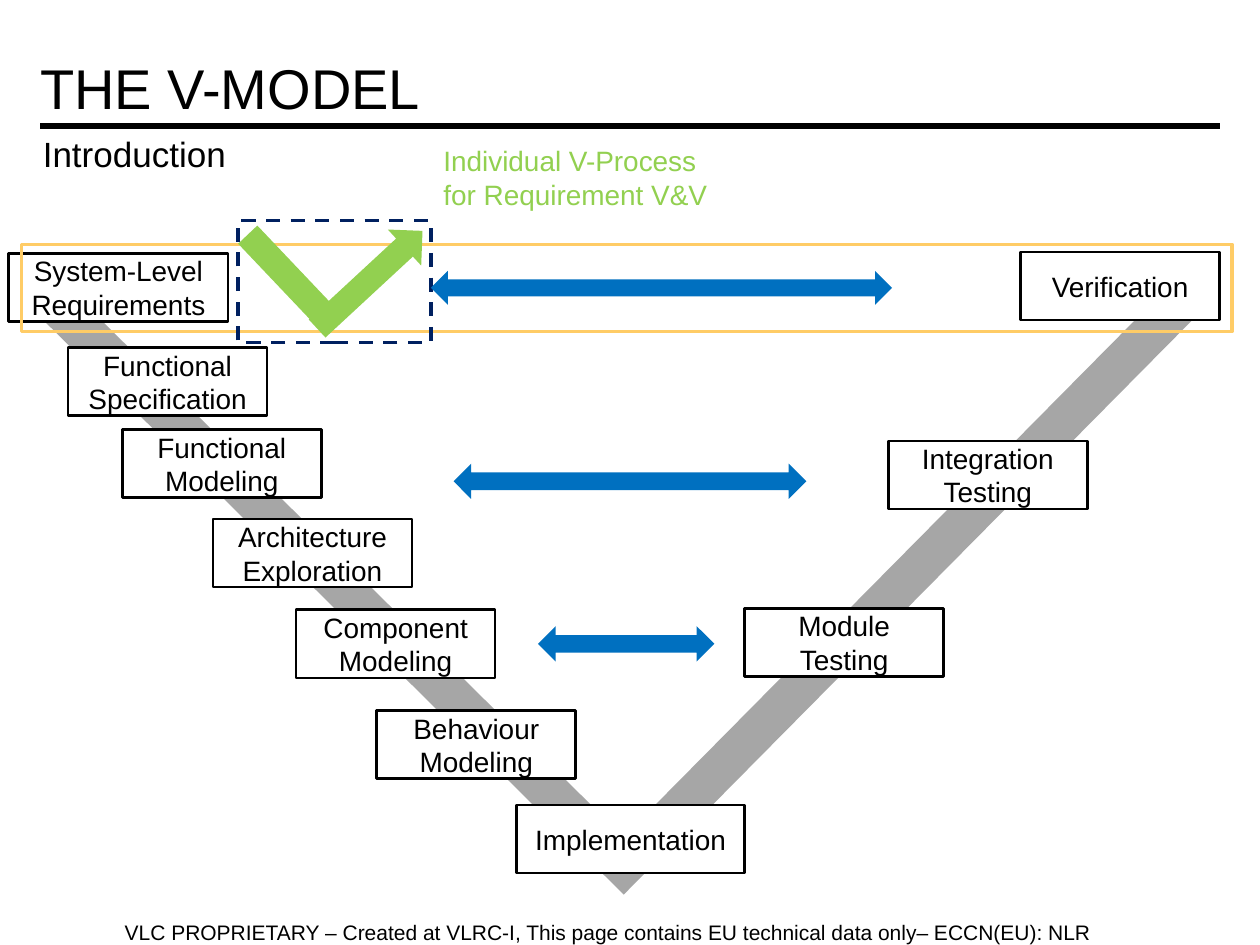
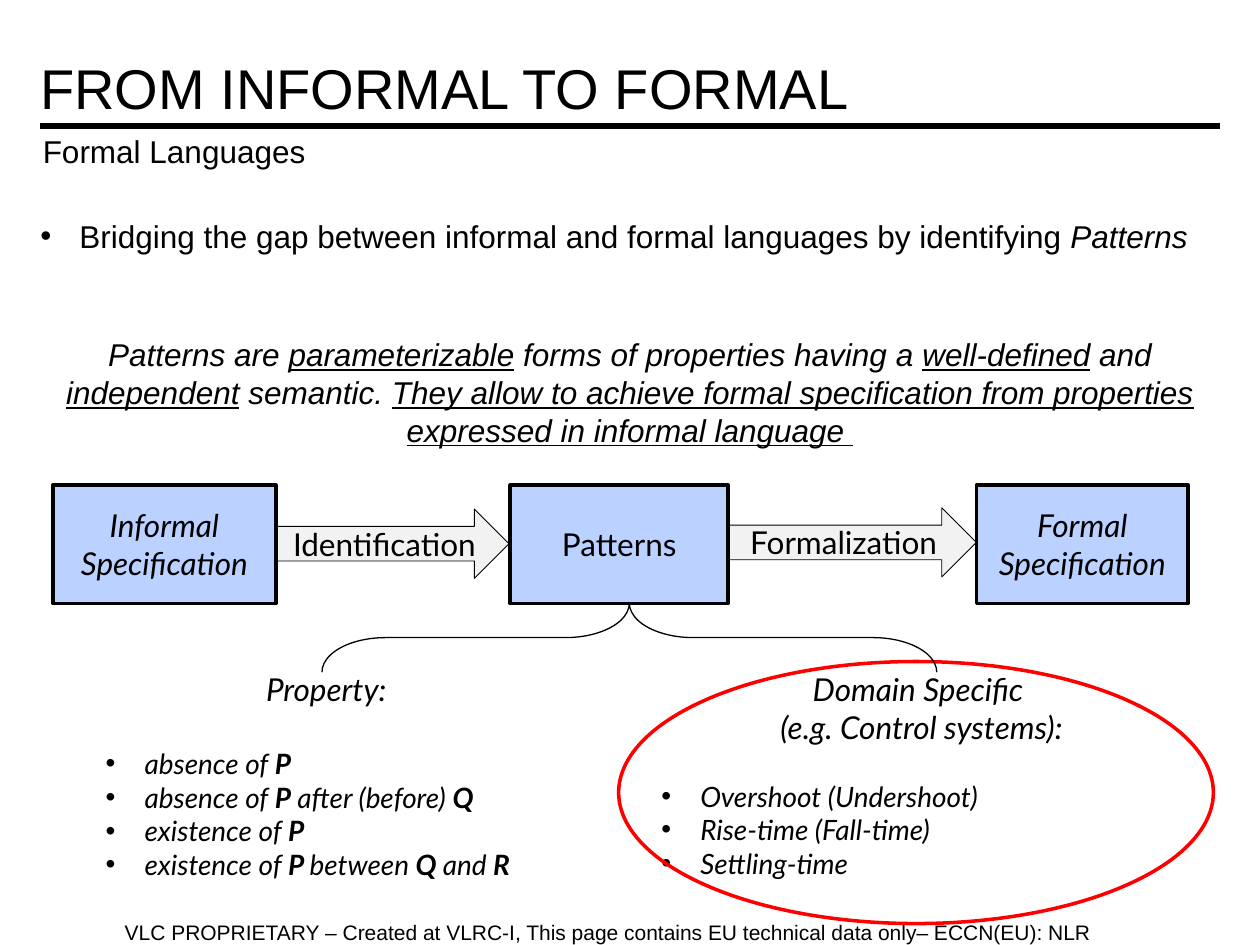
from lxml.etree import SubElement
from pptx import Presentation
from pptx.dml.color import RGBColor
from pptx.enum.dml import MSO_LINE
from pptx.enum.shapes import MSO_CONNECTOR, MSO_SHAPE
from pptx.enum.text import MSO_ANCHOR, MSO_AUTO_SIZE, PP_ALIGN
from pptx.oxml.ns import qn
from pptx.util import Inches, Pt

COLOURS = {
    "ink": "000000", "paper": "FFFFFF", "v": "A6A6A6", "level": "FFCC66",
    "check": "92D050", "frame": "002060", "link": "0070C0",
    "process": "BBD1FF", "step": "F2F2F2", "focus": "FF0000",
}
BODY, DIAGRAM = "Arial", "Lato"
MARGIN, CONTENT_WIDTH, RULE_TOP = 0.32, 9.36, 1
HANGING = 0.31
FOOTER = ("VLC PROPRIETARY – Created at VLRC-I, This page contains "
          "EU technical data only– ECCN(EU): NLR")

# V-model: lines of the label, left, top, width
STAGE_WIDTH, STAGE_HEIGHT = 1.58, 0.54
STAGES = [
    (["System-Level", "Requirements"], 0.07, 2.01, 1.74),
    (["Functional", "Specification"], 0.54, 2.76, STAGE_WIDTH),
    (["Implementation"], 4.1, 6.39, 1.81),
    (["Verification"], 8.1, 2, STAGE_WIDTH),
    (["Module", "Testing"], 5.91, 4.83, STAGE_WIDTH),
    (["Functional", "Modeling"], 0.97, 3.41, STAGE_WIDTH),
    (["Architecture Exploration"], 1.69, 4.12, STAGE_WIDTH),
    (["Component Modeling"], 2.35, 4.84, STAGE_WIDTH),
    (["Behaviour Modeling"], 2.99, 5.64, STAGE_WIDTH),
    (["Integration", "Testing"], 7.05, 3.5, STAGE_WIDTH),
]
LINKS = [(3.42, 2.15, 3.66, 0.27), (3.6, 3.68, 2.8, 0.28), (4.27, 4.97, 1.4, 0.28)]
V_SHAFT = 0.05

# Formal languages: a span is (text, style letters b, i, u)
BRIDGE = [("Bridging the gap between informal and formal languages by identifying ", ""),
          ("Patterns", "i")]
DEFINITION = [
    ("Patterns are ", "i"), ("parameterizable", "iu"),
    (" forms of properties having a ", "i"), ("well-defined", "iu"),
    (" and ", "i"), ("independent", "iu"), (" semantic. ", "i"),
    ("They allow to achieve formal specification from properties "
     "expressed in informal language ", "iu"),
]
PROCESSES = [
    ("Informal Specification", "i", 0.42, 1.77),
    ("Patterns", "", 4.05, 1.73),
    ("Formal Specification", "i", 7.75, 1.68),
]
STEPS = [("Identification", 2.2, 4.04, 1.84), ("Formalization", 5.78, 4.03, 1.97)]
# heading, bullets, gap after the heading in points, left, width
PATTERN_LISTS = [
    ("Property:", [
        [("absence of ", "i"), ("P", "bi")],
        [("absence of ", "i"), ("P", "bi"), (" after (before) ", "i"), ("Q", "bi")],
        [("existence of ", "i"), ("P", "bi")],
        [("existence of ", "i"), ("P ", "bi"), ("between ", "i"), ("Q ", "bi"),
         ("and ", "i"), ("R", "bi")],
    ], 22, 0.74, 3.7),
    ("Domain Specific \n(e.g. Control systems):", [
        [("Overshoot (Undershoot)", "i")],
        [("Rise-time (Fall-time)", "i")],
        [("Settling-time", "i")],
    ], 19, 5.15, 4.33),
]


def colour(name):
    return RGBColor.from_string(COLOURS[name])


def add_spans(para, spans, size, font=BODY, ink="ink"):
    """Add styled spans to a paragraph; a newline becomes a line break."""
    for text, style in spans:
        for number, line in enumerate(text.split("\n")):
            if number:
                para.add_line_break()
            span = para.add_run()
            span.text = line
            span.font.name = font
            span.font.size = Pt(size)
            span.font.color.rgb = colour(ink)
            span.font.bold = "b" in style
            span.font.italic = "i" in style
            span.font.underline = "u" in style


def add_para(frame, spans, size, font=BODY, ink="ink", align=PP_ALIGN.LEFT,
             before=0, bullet=False):
    para = frame.paragraphs[0]
    if para.runs:
        para = frame.add_paragraph()
    para.alignment = align
    para.space_before = Pt(before)
    add_spans(para, spans, size, font, ink)
    if bullet:
        properties = para._p.get_or_add_pPr()
        properties.set("marL", str(Inches(HANGING)))
        properties.set("indent", str(-Inches(HANGING)))
        SubElement(properties, qn("a:buFont")).set("typeface", "Arial")
        SubElement(properties, qn("a:buChar")).set("char", "•")


def format_frame(frame, side=0.1, edge=0.05, anchor=MSO_ANCHOR.TOP, wrap=True):
    frame.word_wrap = wrap
    frame.auto_size = MSO_AUTO_SIZE.NONE
    frame.vertical_anchor = anchor
    frame.margin_left = frame.margin_right = Inches(side)
    frame.margin_top = frame.margin_bottom = Inches(edge)
    return frame


def add_text(page, left, top, width, height, **layout):
    box = page.shapes.add_textbox(*map(Inches, (left, top, width, height)))
    return format_frame(box.text_frame, **layout)


def add_figure(page, kind, left, top, width, height, fill=None, line=None,
               weight=1, rotation=0, adjust=()):
    figure = page.shapes.add_shape(kind, *map(Inches, (left, top, width, height)))
    figure.shadow.inherit = False
    figure.rotation = rotation
    for number, value in enumerate(adjust):
        figure.adjustments[number] = value
    if fill:
        figure.fill.solid()
        figure.fill.fore_color.rgb = colour(fill)
    else:
        figure.fill.background()
    if line:
        figure.line.color.rgb = colour(line)
        figure.line.width = Pt(weight)
    else:
        figure.line.fill.background()
    return figure


def label(figure, lines, size, font=BODY, style=""):
    frame = format_frame(figure.text_frame, anchor=MSO_ANCHOR.MIDDLE)
    for line in lines:
        add_para(frame, [(line, style)], size, font, align=PP_ALIGN.CENTER)


def start_page(deck, title, subtitle, subtitle_size):
    page = deck.slides.add_slide(deck.slide_layouts[5])
    rule = page.shapes.add_connector(
        MSO_CONNECTOR.STRAIGHT, Inches(MARGIN), Inches(RULE_TOP),
        Inches(MARGIN + CONTENT_WIDTH), Inches(RULE_TOP))
    rule.line.color.rgb = colour("ink")
    rule.line.width = Pt(4)
    SubElement(rule._element.spPr, qn("a:effectLst"))

    heading = page.shapes.title
    heading.left, heading.top = Inches(MARGIN), Inches(0.38)
    heading.width, heading.height = Inches(CONTENT_WIDTH), Inches(0.62)
    frame = format_frame(heading.text_frame, side=0, anchor=MSO_ANCHOR.MIDDLE)
    add_para(frame, [(title, "")], 32)

    frame = add_text(page, MARGIN, RULE_TOP, CONTENT_WIDTH, 0.6, side=0.02)
    add_para(frame, [(subtitle, "")], subtitle_size, before=12)
    return page


def add_footer(page):
    frame = add_text(page, 0.99, 7.29, 7.93, 0.21, side=0, edge=0,
                     anchor=MSO_ANCHOR.MIDDLE)
    add_para(frame, [(FOOTER, "")], 12)


def build_v_model(deck):
    page = start_page(deck, "THE V-MODEL", "Introduction", 20)
    add_figure(page, MSO_SHAPE.LEFT_UP_ARROW, 1.74, -0.78, 6.45, 6.56, fill="v",
               rotation=44.7, adjust=(V_SHAFT, V_SHAFT / 2, 0))
    for lines, left, top, width in STAGES:
        stage = add_figure(page, MSO_SHAPE.RECTANGLE, left, top, width, STAGE_HEIGHT,
                           fill="paper", line="ink", weight=1.5)
        label(stage, lines, 16)

    add_figure(page, MSO_SHAPE.RECTANGLE, 0.17, 1.94, 9.61, 0.69,
               line="level", weight=2)
    add_figure(page, MSO_SHAPE.UP_ARROW, 2.74, 1.65, 0.39, 1.14,
               fill="check", rotation=47.2)
    add_figure(page, MSO_SHAPE.RECTANGLE, 1.81, 2.12, 1, 0.21,
               fill="check", rotation=46.5)
    check_frame = add_figure(page, MSO_SHAPE.RECTANGLE, 1.89, 1.75, 1.53, 0.97,
                             line="frame", weight=2)
    check_frame.line.dash_style = MSO_LINE.DASH
    frame = add_text(page, 3.42, 1.09, 2.32, 0.64, wrap=False)
    add_para(frame, [("Individual V-Process\nfor Requirement V&V", "")], 16, ink="check")

    for place in LINKS:
        add_figure(page, MSO_SHAPE.LEFT_RIGHT_ARROW, *place, fill="link")
    add_footer(page)


def build_formal_languages(deck):
    page = start_page(deck, "FROM INFORMAL TO FORMAL", "Formal Languages", 18)
    frame = add_text(page, MARGIN, 1.67, CONTENT_WIDTH, 5.05, side=0)
    add_para(frame, BRIDGE, 18, before=12, bullet=True)
    add_para(frame, DEFINITION, 18, align=PP_ALIGN.CENTER, before=46)

    for text, left, top, width in STEPS:
        step = add_figure(page, MSO_SHAPE.RIGHT_ARROW, left, top, width, 0.55,
                          fill="step", line="ink", weight=0.5)
        label(step, [text], 18, DIAGRAM)
    for text, style, left, width in PROCESSES:
        process = add_figure(page, MSO_SHAPE.FLOWCHART_PROCESS, left, 3.85, width, 0.94,
                             fill="process", line="ink", weight=2)
        label(process, [text], 18, DIAGRAM, style)

    for heading, bullets, gap, left, width in PATTERN_LISTS:
        frame = add_text(page, left, 5.27, width, 1.78)
        add_para(frame, [(heading, "i")], 18, DIAGRAM, align=PP_ALIGN.CENTER)
        for number, spans in enumerate(bullets):
            add_para(frame, spans, 16, DIAGRAM, before=0 if number else gap, bullet=True)

    add_figure(page, MSO_SHAPE.OVAL, 4.91, 5.25, 4.72, 2.08, line="focus", weight=2)
    add_figure(page, MSO_SHAPE.RIGHT_BRACE, 4.72, 2.62, 0.55, 4.88, line="ink",
               weight=0.75, rotation=270, adjust=(0.92, 0.5))
    add_footer(page)


def main():
    deck = Presentation()
    deck.slide_width, deck.slide_height = Inches(10), Inches(7.5)
    build_v_model(deck)
    build_formal_languages(deck)
    deck.save("out.pptx")


if __name__ == "__main__":
    main()
